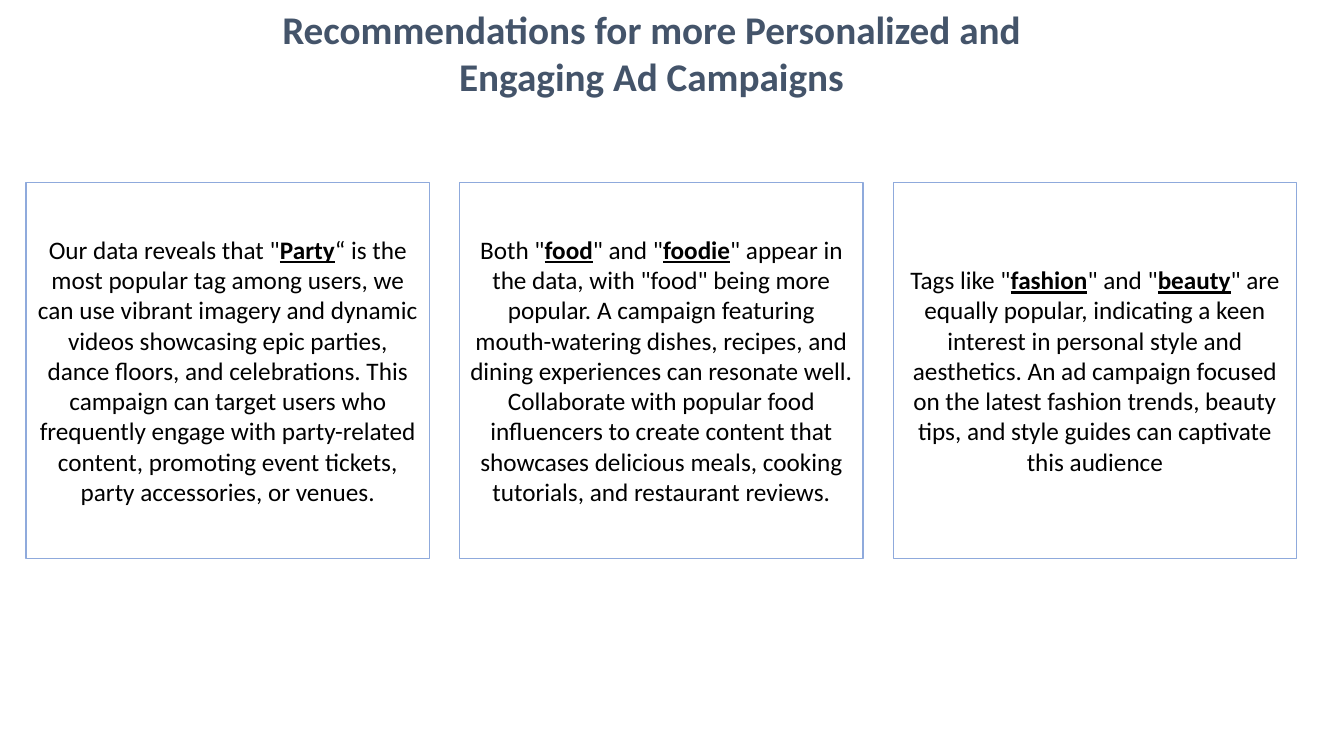
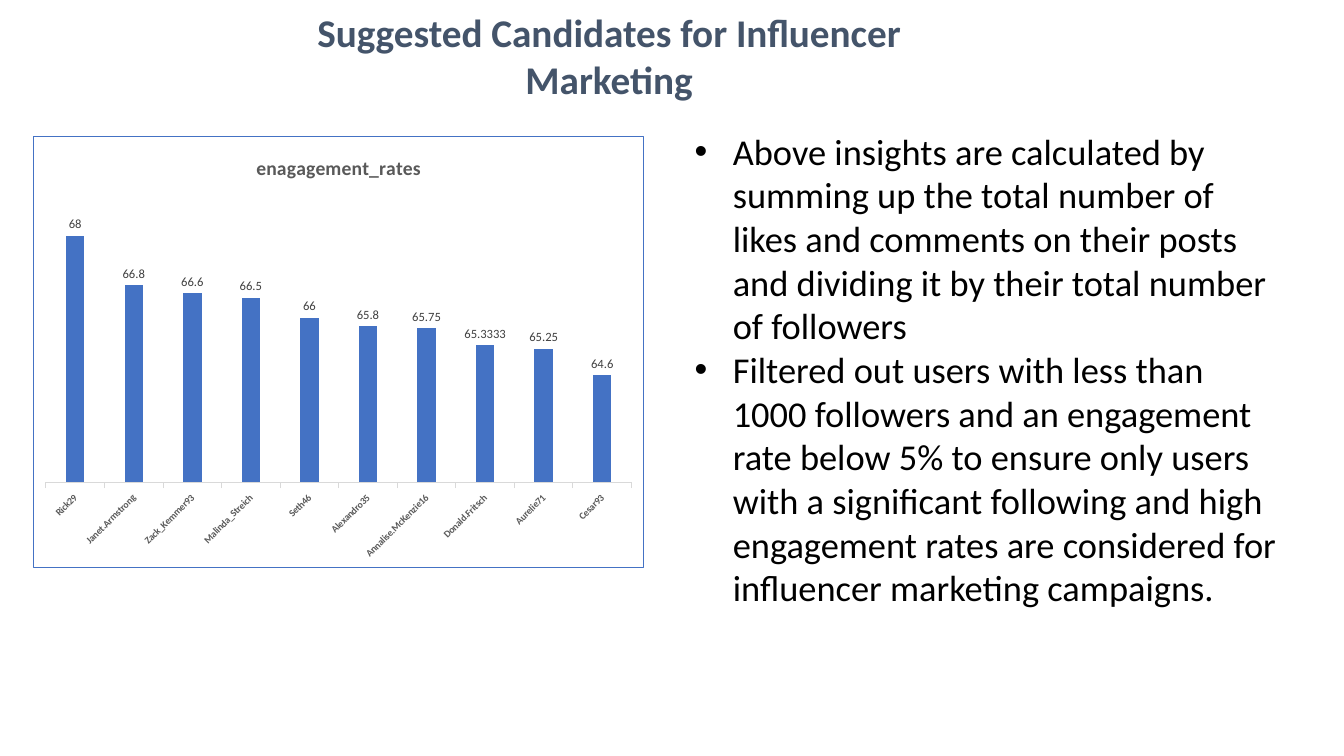
from lxml.etree import SubElement
from pptx import Presentation
from pptx.chart.data import CategoryChartData
from pptx.dml.color import RGBColor
from pptx.enum.chart import XL_CHART_TYPE as ChartType, XL_LABEL_POSITION as LabelPosition
from pptx.enum.chart import XL_TICK_MARK as TickMark
from pptx.enum.shapes import MSO_SHAPE as Shape
from pptx.enum.text import MSO_ANCHOR as Anchor, PP_ALIGN as Align
from pptx.oxml import parse_xml
from pptx.oxml.ns import nsdecls, qn
from pptx.util import Inches, Pt

FONT = "Calibri"
BLACK, WHITE, SLATE = "000000", "FFFFFF", "44546A"
BLUE, PALE_BLUE = "4472C4", "8FAADC"
GREY, DARK_GREY, PALE_GREY = "595959", "404040", "D9D9D9"

TITLE = {"size": Pt(28), "bold": True}
CARD = {"size": Pt(18)}
KEYWORD = {"size": Pt(18), "bold": True, "underline": True}
BULLET = {"size": Pt(26)}
CHART_TEXT = {"size": Pt(10)}
CHART_TITLE = {"size": Pt(14), "bold": True}
CATEGORY = {"size": Pt(7), "bold": True}
DATA_LABEL = {"size": Pt(9)}

RECOMMENDATIONS = [
    'Our data reveals that "**Party**“ is the most popular tag among users, we can use '
    "vibrant imagery and dynamic videos showcasing epic parties, dance floors, and "
    "celebrations. This campaign can target users who frequently engage with "
    "party-related content, promoting event tickets, party accessories, or venues.",
    'Both "**food**" and "**foodie**" appear in the data, with "food" being more popular. '
    "A campaign featuring mouth-watering dishes, recipes, and dining experiences can "
    "resonate well. Collaborate with popular food influencers to create content that "
    "showcases delicious meals, cooking tutorials, and restaurant reviews.",
    'Tags like "**fashion**" and "**beauty**" are equally popular, indicating a keen '
    "interest in personal style and aesthetics. An ad campaign focused on the latest "
    "fashion trends, beauty tips, and style guides can captivate this audience",
]
ENGAGEMENT = {
    "Rick29": 68,
    "Janet.Armstrong": 66.8,
    "Zack_Kemmer93": 66.6,
    "Malinda_Streich": 66.5,
    "Seth46": 66,
    "Alexandro35": 65.8,
    "Annalise.McKenzie16": 65.75,
    "Donald.Fritsch": 65.3333,
    "Aurelie71": 65.25,
    "Cesar93": 64.6,
}
METHOD = [
    "Above insights are calculated by summing up the total number of likes and comments "
    "on their posts and dividing it by their total number of followers",
    "Filtered out users with less than 1000 followers and an engagement rate below 5% to "
    "ensure only users with a significant following and high engagement rates are "
    "considered for influencer marketing campaigns.",
]


def colour(hex_value):
    return RGBColor.from_string(hex_value)


def assign(target, values):
    for name, value in values.items():
        setattr(target, name, value)


def style(font, values, hex_value=BLACK):
    assign(font, {"name": FONT, **values})
    font.color.rgb = colour(hex_value)


def add_run(paragraph, text, values, hex_value=BLACK):
    run = paragraph.add_run()
    run.text = text
    style(run.font, values, hex_value)


def add_text_frame(slide, left, top, width, height):
    box = slide.shapes.add_textbox(Inches(left), Inches(top), Inches(width), Inches(height))
    box.text_frame.word_wrap = True
    return box.text_frame


def add_title(slide, text, left, top, width):
    paragraph = add_text_frame(slide, left, top, width, 1.04).paragraphs[0]
    paragraph.alignment = Align.CENTER
    add_run(paragraph, text, TITLE, SLATE)


def add_card(slide, text, left):
    card = slide.shapes.add_shape(
        Shape.RECTANGLE, Inches(left), Inches(1.81), Inches(4), Inches(3.73))
    card.shadow.inherit = False
    card.fill.solid()
    card.fill.fore_color.rgb = colour(WHITE)
    card.line.color.rgb = colour(PALE_BLUE)
    card.line.width = Pt(1)
    assign(card.text_frame, {"word_wrap": True, "vertical_anchor": Anchor.MIDDLE})
    paragraph = card.text_frame.paragraphs[0]
    paragraph.alignment = Align.CENTER
    for index, part in enumerate(text.split("**")):
        add_run(paragraph, part, KEYWORD if index % 2 else CARD)


def add_bullets(slide, items, left, top, width, height):
    frame = add_text_frame(slide, left, top, width, height)
    for index, item in enumerate(items):
        paragraph = frame.add_paragraph() if index else frame.paragraphs[0]
        add_run(paragraph, item, BULLET)
        properties = paragraph._p.get_or_add_pPr()
        properties.set("marL", str(Inches(0.38)))
        properties.set("indent", str(-Inches(0.38)))
        SubElement(properties, qn("a:buFont"), typeface="Arial")
        SubElement(properties, qn("a:buChar"), char="•")
    paragraph.space_after = Pt(12)


def add_border(chart, hex_value):
    chart._chartSpace.find(qn("c:chart")).addnext(parse_xml(
        f'<c:spPr {nsdecls("c", "a")}><a:ln w="{Pt(0.75)}"><a:solidFill>'
        f'<a:srgbClr val="{hex_value}"/></a:solidFill></a:ln></c:spPr>'))


def add_column_chart(slide, name, values, left, top, width, height):
    data = CategoryChartData()
    data.categories = list(values)
    data.add_series(name, list(values.values()))
    chart = slide.shapes.add_chart(
        ChartType.COLUMN_CLUSTERED, Inches(left), Inches(top), Inches(width),
        Inches(height), data).chart
    style(chart.font, CHART_TEXT)
    add_border(chart, BLUE)
    assign(chart, {"has_legend": False, "has_title": True})
    add_run(chart.chart_title.text_frame.paragraphs[0], name, CHART_TITLE, GREY)

    assign(chart.value_axis, {"visible": False, "has_major_gridlines": False,
                              "minimum_scale": 62, "maximum_scale": 69})
    users = chart.category_axis
    assign(users, {"major_tick_mark": TickMark.OUTSIDE, "minor_tick_mark": TickMark.NONE})
    users.format.line.color.rgb = colour(PALE_GREY)
    users.format.line.width = Pt(0.75)
    style(users.tick_labels.font, CATEGORY, GREY)
    users._element.find(qn("c:txPr")).find(qn("a:bodyPr")).set("rot", "-2700000")

    plot = chart.plots[0]
    assign(plot, {"gap_width": 219, "overlap": -27, "vary_by_categories": False})
    columns = plot.series[0]
    columns.format.fill.solid()
    columns.format.fill.fore_color.rgb = colour(BLUE)
    labels = columns.data_labels
    assign(labels, {"show_value": True, "position": LabelPosition.OUTSIDE_END})
    style(labels.font, DATA_LABEL, DARK_GREY)


def main():
    deck = Presentation()
    assign(deck, {"slide_width": Inches(13.33), "slide_height": Inches(7.5)})
    blank = deck.slide_layouts[6]

    campaigns = deck.slides.add_slide(blank)
    add_title(campaigns, "Recommendations for more Personalized and Engaging Ad Campaigns",
              2.52, 0, 7.88)
    for index, text in enumerate(RECOMMENDATIONS):
        add_card(campaigns, text, 0.26 + 4.3 * index)

    candidates = deck.slides.add_slide(blank)
    add_title(candidates, "Suggested Candidates for Influencer Marketing", 2.83, 0.03, 6.42)
    add_column_chart(candidates, "enagagement_rates", ENGAGEMENT, 0.33, 1.35, 6.06, 4.29)
    add_bullets(candidates, METHOD, 6.79, 1.23, 6.06, 4.91)

    deck.save("out.pptx")


if __name__ == "__main__":
    main()
